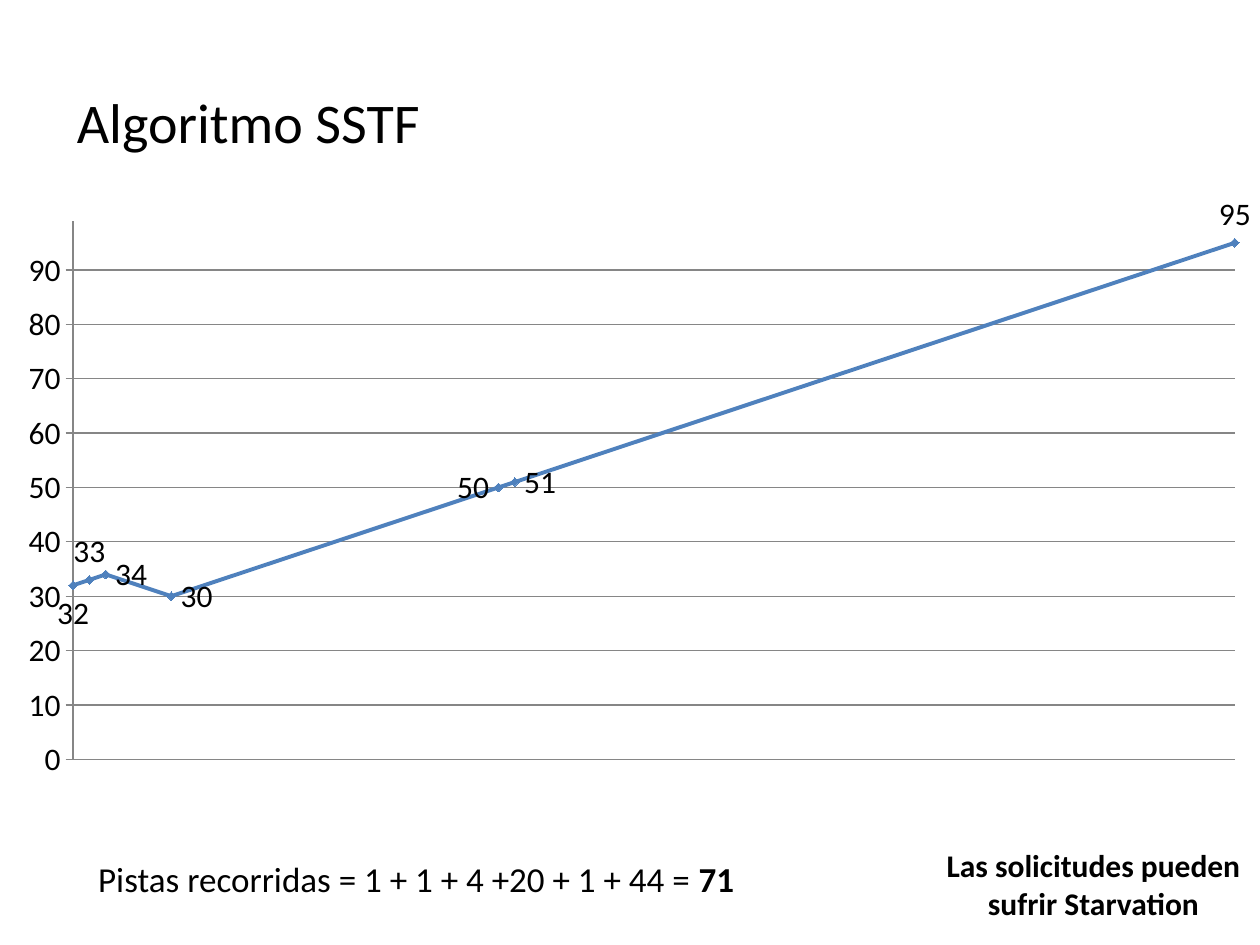
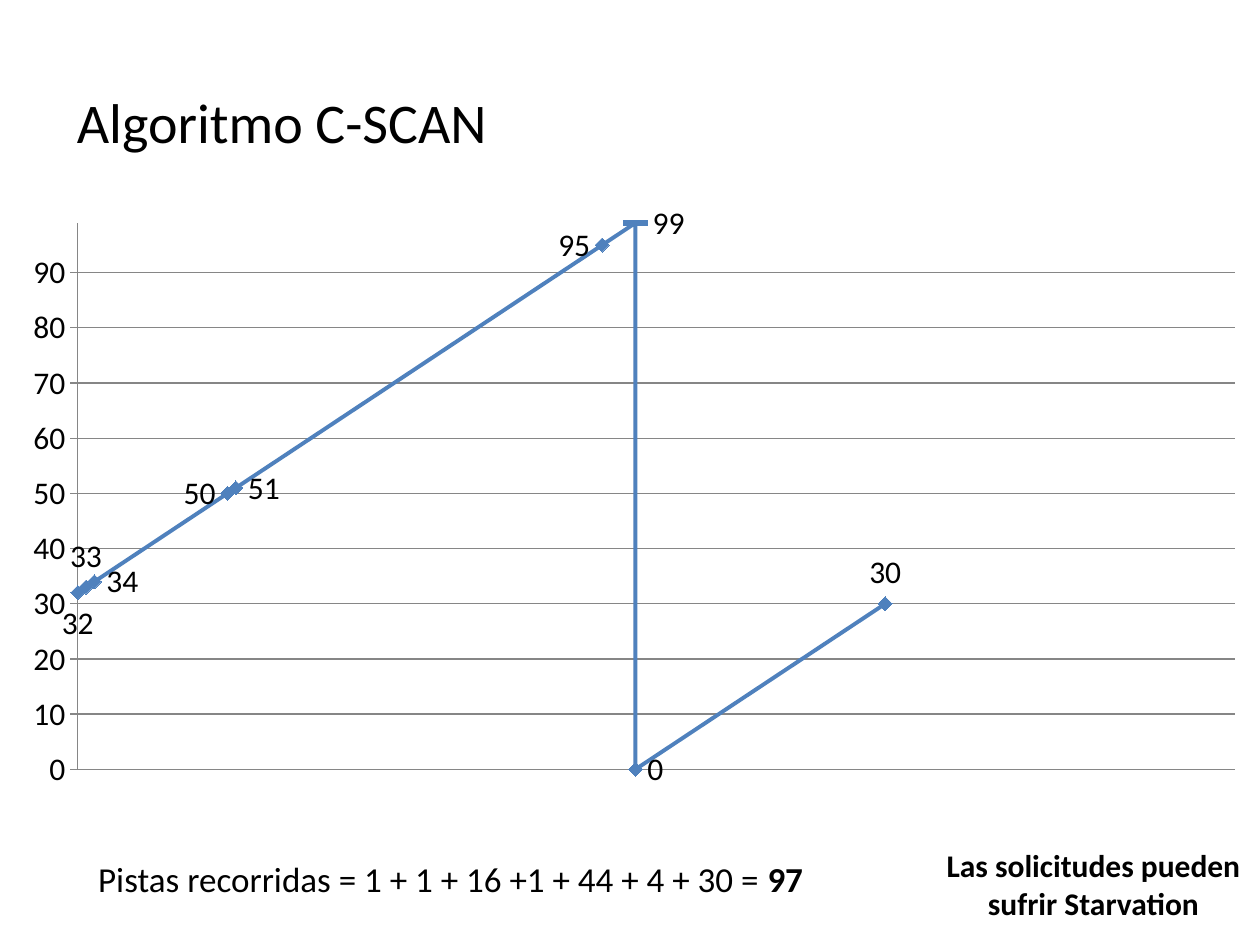
from dataclasses import dataclass

from lxml.etree import SubElement
from pptx import Presentation
from pptx.chart.data import XyChartData
from pptx.dml.color import RGBColor
from pptx.enum.chart import (XL_CHART_TYPE, XL_LABEL_POSITION as Label,
                             XL_MARKER_STYLE as Marker, XL_TICK_LABEL_POSITION as TickLabel,
                             XL_TICK_MARK as Tick)
from pptx.enum.text import MSO_ANCHOR as Anchor, PP_ALIGN as Align
from pptx.oxml.ns import qn
from pptx.util import Cm, Pt


@dataclass(frozen=True)
class Theme:
    font: str = "Calibri"
    text: RGBColor = RGBColor(0x00, 0x00, 0x00)
    route: RGBColor = RGBColor(0x4F, 0x81, 0xBD)
    grid: RGBColor = RGBColor(0x86, 0x86, 0x86)
    jump: RGBColor = RGBColor(0x59, 0x59, 0x59)
    title_size: Pt = Pt(32)
    summary_size: Pt = Pt(20)
    small_size: Pt = Pt(18)
    route_width: Pt = Pt(2.25)
    grid_width: Pt = Pt(0.75)


THEME = Theme()
TITLE_BOX = (1.3, 0.74, 22.86, 3.4)
WARNING_BOX = (18.69, 16.94, 6.71, 1.8)
LABEL_SIDES = {"t": Label.ABOVE, "b": Label.BELOW, "l": Label.LEFT, "r": Label.RIGHT}


@dataclass(frozen=True)
class Algorithm:
    name: str
    moves: str
    total: str
    tracks: tuple
    distances: tuple
    label_sides: str
    x_max: int
    chart_box: tuple
    plot_area: tuple
    summary_box: tuple
    marker: Marker
    marker_size: int
    special_markers: tuple = ()


SSTF = Algorithm(
    name="SSTF", moves="1 + 1 + 4 +20 + 1 + 44", total="71",
    tracks=(32, 33, 34, 30, 50, 51, 95),
    distances=(0, 1, 2, 6, 26, 27, 71),
    label_sides="btrrlrt", x_max=71,
    chart_box=(0.08, 3.94, 25.32, 11.99), plot_area=(0.055, 0.04, 0.925, 0.908),
    summary_box=(1.73, 16.71, 21.39, 2.01),
    marker=Marker.DIAMOND, marker_size=5)

C_SCAN = Algorithm(
    name="C-SCAN", moves="1 + 1 + 16 +1 + 44 + 4 + 30", total="97",
    tracks=(32, 33, 34, 50, 51, 95, 99, 0, 30),
    distances=(0, 1, 2, 18, 19, 63, 67, 67, 97),
    label_sides="btrlrlrrt", x_max=139,
    chart_box=(0.18, 4.11, 25.22, 11.99), plot_area=(0.055, 0.032, 0.925, 0.919),
    summary_box=(1.73, 16.71, 15.19, 2.01),
    marker=Marker.DIAMOND, marker_size=8,
    special_markers=((6, Marker.DASH, 14, THEME.route), (7, Marker.DIAMOND, 8, THEME.jump)))


def add_text(slide, box, runs, size, anchor=Anchor.MIDDLE, align=Align.LEFT):
    """Add one paragraph made of (text, bold) runs."""
    frame = slide.shapes.add_textbox(*map(Cm, box)).text_frame
    frame.word_wrap = True
    frame.vertical_anchor = anchor
    paragraph = frame.paragraphs[0]
    paragraph.alignment = align
    paragraph.font.name = THEME.font
    paragraph.font.size = size
    paragraph.font.color.rgb = THEME.text
    for text, bold in runs:
        run = paragraph.add_run()
        run.text = text
        if bold:
            run.font.bold = True


def style_line(line, color, width):
    line.color.rgb = color
    line.width = width


def style_marker(marker, style, size, color):
    marker.style = style
    marker.size = size
    marker.format.fill.solid()
    marker.format.fill.fore_color.rgb = color
    marker.format.line.color.rgb = color


def set_plot_area(chart, area):
    """Fix the inner plot area as fractions (x, y, w, h) of the chart."""
    plot_area = chart.element.find(".//" + qn("c:plotArea"))
    for old_layout in plot_area.findall(qn("c:layout")):
        plot_area.remove(old_layout)
    layout = SubElement(plot_area, qn("c:layout"))
    plot_area.insert(0, layout)
    manual = SubElement(layout, qn("c:manualLayout"))
    settings = [("layoutTarget", "inner"), ("xMode", "edge"), ("yMode", "edge")]
    settings += zip("xywh", map(str, area))
    for tag, value in settings:
        SubElement(manual, qn("c:" + tag)).set("val", value)


def style_axes(chart, x_max):
    distance_axis, track_axis = chart.category_axis, chart.value_axis
    for axis, maximum in ((distance_axis, x_max), (track_axis, 99)):
        axis.minimum_scale = 0
        axis.maximum_scale = maximum
        axis.minor_tick_mark = Tick.NONE
        style_line(axis.format.line, THEME.grid, THEME.grid_width)
    distance_axis.has_major_gridlines = False
    distance_axis.major_tick_mark = Tick.NONE
    distance_axis.tick_label_position = TickLabel.NONE
    track_axis.major_unit = 10
    track_axis.major_tick_mark = Tick.OUTSIDE
    track_axis.has_major_gridlines = True
    style_line(track_axis.major_gridlines.format.line, THEME.grid, THEME.grid_width)


def style_route(route, algorithm):
    route.smooth = False
    style_line(route.format.line, THEME.route, THEME.route_width)
    style_marker(route.marker, algorithm.marker, algorithm.marker_size, THEME.route)
    for index, style, size, color in algorithm.special_markers:
        point = route.points[index]
        style_marker(point.marker, style, size, color)
        style_line(point.format.line, THEME.route, THEME.route_width)
    for index, side in enumerate(algorithm.label_sides):
        route.points[index].data_label.position = LABEL_SIDES[side]


def add_route_chart(slide, algorithm):
    data = XyChartData()
    requests = data.add_series("Series 1")
    for distance, track in zip(algorithm.distances, algorithm.tracks):
        requests.add_data_point(distance, track)
    chart = slide.shapes.add_chart(XL_CHART_TYPE.XY_SCATTER_LINES,
                                   *map(Cm, algorithm.chart_box), data).chart
    chart.has_title = False
    chart.has_legend = False
    chart.font.name = THEME.font
    chart.font.size = THEME.small_size
    chart.font.color.rgb = THEME.text
    chart.plots[0].vary_by_categories = False
    set_plot_area(chart, algorithm.plot_area)
    style_axes(chart, algorithm.x_max)
    style_route(chart.plots[0].series[0], algorithm)


def add_algorithm_slide(deck, algorithm):
    slide = deck.slides.add_slide(deck.slide_layouts[6])
    add_route_chart(slide, algorithm)
    add_text(slide, TITLE_BOX, [(f"Algoritmo {algorithm.name}", False)], THEME.title_size)
    add_text(slide, algorithm.summary_box,
             [(f"Pistas recorridas = {algorithm.moves} = ", False), (algorithm.total, True)],
             THEME.summary_size)
    add_text(slide, WARNING_BOX, [("Las solicitudes pueden sufrir Starvation", True)],
             THEME.small_size, Anchor.TOP, Align.CENTER)


def main():
    deck = Presentation()
    deck.slide_width, deck.slide_height = Cm(25.4), Cm(19.05)
    for algorithm in (SSTF, C_SCAN):
        add_algorithm_slide(deck, algorithm)
    deck.save("out.pptx")


if __name__ == "__main__":
    main()
